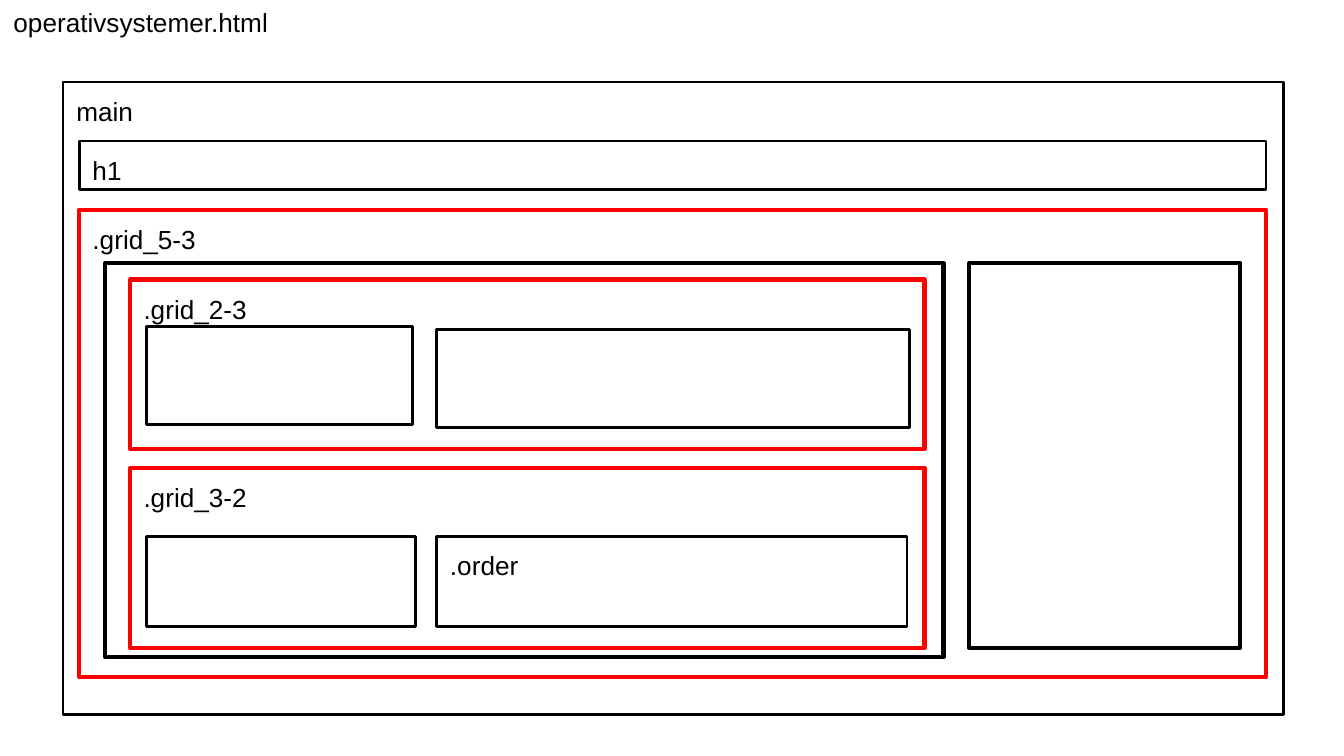
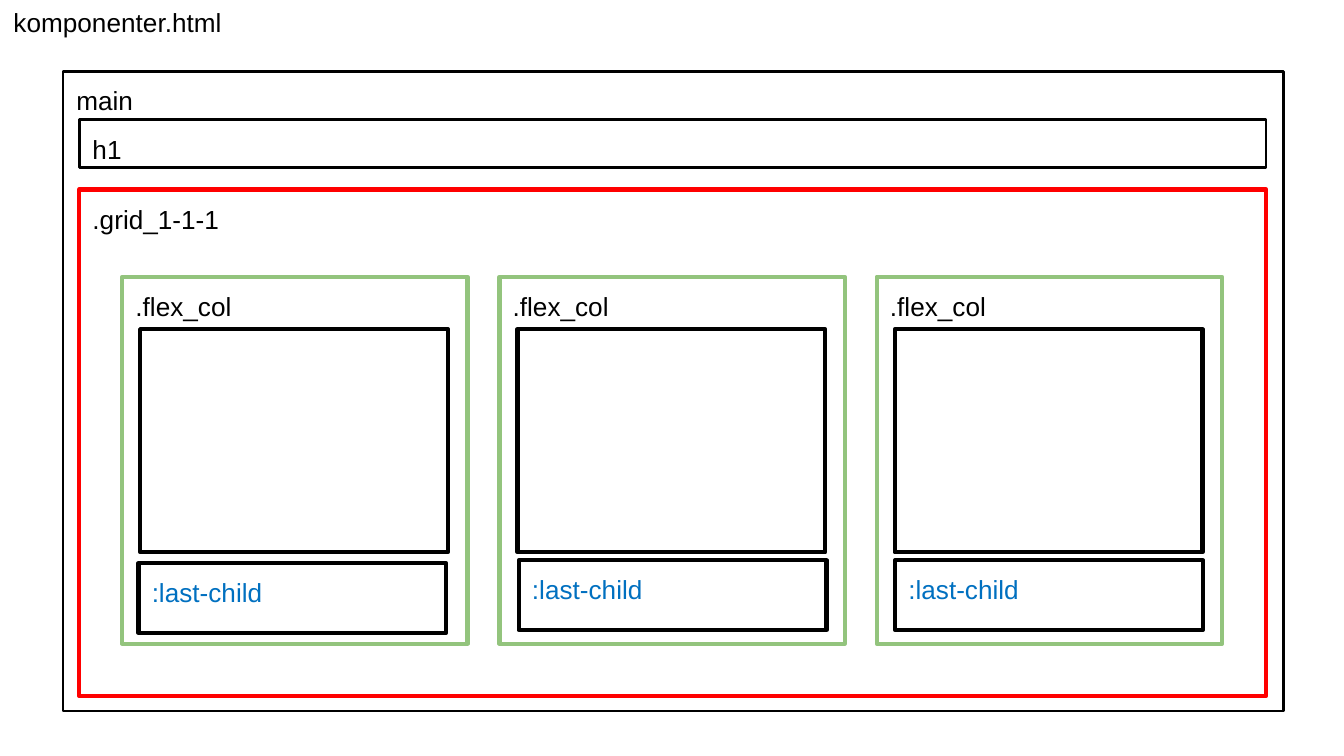
"""Builds two slides that sketch the box layout of web pages."""
from pptx import Presentation
from pptx.dml.color import RGBColor as Color
from pptx.enum.shapes import MSO_SHAPE as Shape
from pptx.enum.text import MSO_ANCHOR as Anchor, MSO_AUTO_SIZE as AutoSize, PP_ALIGN as Align
from pptx.util import Pt

COLORS = {"ink": "000000", "grid": "FF0000", "flex": "93C47D", "accent": "0070C0"}
FONT = "Arial"
TEXT_SIZE = 14
THIN, THICK = 1.5, 2.25
TITLE_ONLY = 5
MAIN_LEFT, MAIN_WIDTH = 33.8, 653.8
INNER_LEFT, INNER_WIDTH = 42.5, 635.8
HEADING_HEIGHT = 25.9


def write_text(frame, text, color="ink", inset=7.2, inset_y=7.2):
    frame.word_wrap = True
    frame.auto_size = AutoSize.NONE
    frame.vertical_anchor = Anchor.TOP
    frame.margin_left = frame.margin_right = Pt(inset)
    frame.margin_top = frame.margin_bottom = Pt(inset_y)
    para = frame.paragraphs[0]
    para.alignment = Align.LEFT
    span = para.add_run()
    span.text = text
    span.font.name = FONT
    span.font.size = Pt(TEXT_SIZE)
    span.font.color.rgb = Color.from_string(COLORS[color])


def add_title(page, text, width):
    title = page.shapes.title
    title.left, title.top, title.width, title.height = 0, 0, Pt(width), Pt(24.5)
    write_text(title.text_frame, text, inset_y=3.6)


def add_box(page, left, top, width, height, text="", line="ink", weight=THIN, color="ink"):
    box = page.shapes.add_shape(Shape.RECTANGLE, Pt(left), Pt(top), Pt(width), Pt(height))
    box.shadow.inherit = False
    box.fill.background()
    box.line.color.rgb = Color.from_string(COLORS[line])
    box.line.width = Pt(weight)
    if text:
        write_text(box.text_frame, text, color=color)


def add_page(deck, title, title_width, main, heading_top, grid, grid_name):
    page = deck.slides.add_slide(deck.slide_layouts[TITLE_ONLY])
    add_title(page, title, title_width)
    main_top, main_height = main
    grid_top, grid_height = grid
    add_box(page, MAIN_LEFT, main_top, MAIN_WIDTH, main_height, "main")
    add_box(page, INNER_LEFT, grid_top, INNER_WIDTH, grid_height, grid_name, "grid", THICK)
    add_box(page, INNER_LEFT, heading_top, INNER_WIDTH, HEADING_HEIGHT, "h1")
    return page


def add_systems_page(deck):
    page = add_page(deck, "operativsystemer.html", 203.8, main=(43.9, 339.1),
                    heading_top=75.6, grid=(112.3, 250.6), grid_name=".grid_5-3")
    add_box(page, 56.2, 141.1, 449.3, 211, weight=THICK)
    add_box(page, 519.1, 141.1, 145.4, 205.9, weight=THICK)
    for name, top, height in ((".grid_2-3", 149.8, 90.7), (".grid_3-2", 250.6, 96.5)):
        add_box(page, 69.8, top, 425.5, height, name, "grid", THICK)
    add_box(page, 78.5, 175, 142.6, 52.6)
    add_box(page, 234, 176.4, 253.4, 52.6)
    add_box(page, 78.5, 287.3, 144, 48.2)
    add_box(page, 234, 287.3, 252, 48.2, ".order")


def add_components_page(deck):
    page = add_page(deck, "komponenter.html", 145.4, main=(38.2, 342.7),
                    heading_top=64.1, grid=(101.5, 271.4), grid_name=".grid_1-1-1")
    first_left, pitch = 65.5, 202.1
    last_children = ((74.2, 301.7), (277.9, 300.2), (479.5, 300.2))
    for column, (child_left, child_top) in enumerate(last_children):
        left = first_left + column * pitch
        add_box(page, left, 148.3, 185, 196.6, ".flex_col", "flex", THICK)
        add_box(page, left + 9.6, 176.4, 164.9, 119.5, weight=THICK)
        add_box(page, child_left, child_top, 164.9, 37.4, ":last-child",
                weight=THICK, color="accent")


def main():
    deck = Presentation()
    deck.slide_width, deck.slide_height = Pt(720), Pt(405)
    add_systems_page(deck)
    add_components_page(deck)
    deck.save("out.pptx")


if __name__ == "__main__":
    main()
